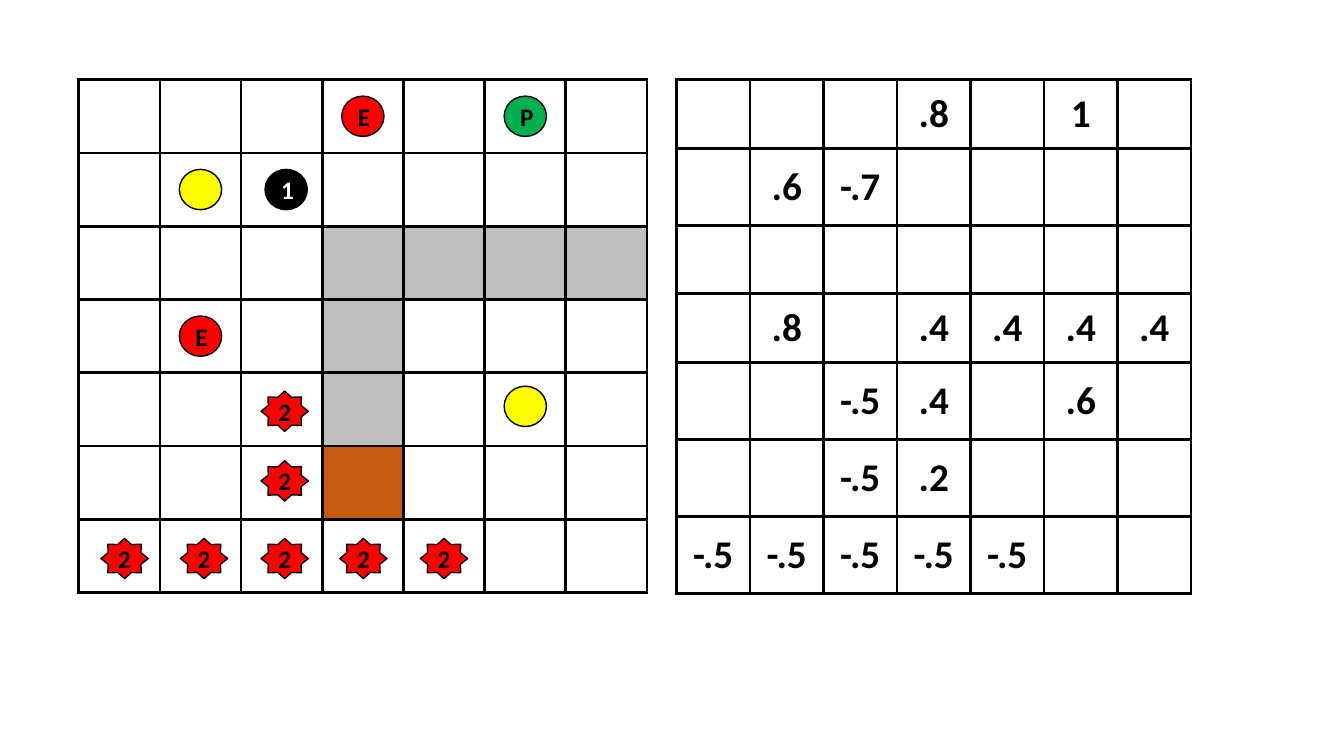
from dataclasses import dataclass

from lxml import etree
from pptx import Presentation
from pptx.dml import color
from pptx.enum import shapes, text
from pptx.oxml import ns
from pptx.util import Pt

COLORS = {
    "white": "FFFFFF",
    "black": "000000",
    "wall": "BFBFBF",
    "door": "C55A11",
    "yellow": "FFFF00",
    "green": "00B050",
    "red": "FF0000",
}
FONT = "Calibri"
CIRCLE = shapes.MSO_SHAPE.OVAL
STAR = shapes.MSO_SHAPE.STAR_8_POINT
MARKER_WIDTHS = {CIRCLE: 30.2, STAR: 33.8}
MARKER_HEIGHT = 28.8


@dataclass(frozen=True)
class Grid:
    left: float
    top: float
    columns: list[float]
    rows: list[float]


@dataclass(frozen=True)
class Marker:
    kind: shapes.MSO_SHAPE
    column: int
    row: int
    fill: str
    label: str = ""
    ink: str = "black"
    dx: float = 0  # nudge from the cell centre
    dy: float = 0


BOARD = Grid(56.2, 56.9, [58] * 7, [52.35] * 7)
SCORES = Grid(483.2, 56.9, [52.5] * 7, [49, 55, 49, 49, 55, 55, 55])

# Coloured board cells, by (row, column)
BOARD_FILLS = {
    **{(2, column): "wall" for column in range(3, 7)},
    (3, 3): "wall",
    (4, 3): "wall",
    (5, 3): "door",
}

MARKERS = [
    Marker(CIRCLE, 5, 4, "yellow", dy=-2.2),
    Marker(CIRCLE, 1, 1, "yellow"),
    Marker(CIRCLE, 5, 0, "green", "P"),
    Marker(CIRCLE, 1, 3, "red", "E"),
    Marker(CIRCLE, 3, 0, "red", "E"),
    *(Marker(STAR, column, 6, "red", "2", dx=dx, dy=1.8)
      for column, dx in enumerate([3.8, 2.6, 2.2, 0.4, 0])),
    Marker(STAR, 2, 5, "red", "2", dx=2.2, dy=-1.3),
    Marker(STAR, 2, 4, "red", "2", dx=2.2, dy=1.3),
    Marker(CIRCLE, 2, 1, "black", "1", "white", dx=3.2),
]

SCORE_ROWS = [
    ["", "", "", ".8", "", "1", ""],
    ["", ".6", "-.7", "", "", "", ""],
    ["", "", "", "", "", "", ""],
    ["", ".8", "", ".4", ".4", ".4", ".4"],
    ["", "", "-.5", ".4", "", ".6", ""],
    ["", "", "-.5", ".2", "", "", ""],
    ["-.5", "-.5", "-.5", "-.5", "-.5", "", ""],
]


def rgb(name: str) -> color.RGBColor:
    return color.RGBColor.from_string(COLORS[name])


def write_label(frame, label: str, size: float, ink: str) -> None:
    frame.vertical_anchor = text.MSO_ANCHOR.MIDDLE
    paragraph = frame.paragraphs[0]
    paragraph.text = label
    paragraph.alignment = text.PP_ALIGN.CENTER
    font = paragraph.font
    font.name, font.size, font.bold = FONT, Pt(size), True
    font.color.rgb = rgb(ink)


def add_borders(cell, width: float = 2.25) -> None:
    properties = cell._tc.get_or_add_tcPr()
    for side in ("lnL", "lnR", "lnT", "lnB"):
        line = etree.SubElement(properties, ns.qn(f"a:{side}"), w=str(Pt(width)))
        fill = etree.SubElement(line, ns.qn("a:solidFill"))
        etree.SubElement(fill, ns.qn("a:srgbClr"), val=COLORS["black"])


def add_grid(slide, grid: Grid):
    table = slide.shapes.add_table(
        len(grid.rows), len(grid.columns), Pt(grid.left), Pt(grid.top),
        Pt(sum(grid.columns)), Pt(sum(grid.rows))).table
    table.first_row = table.horz_banding = False
    for column, width in zip(table.columns, grid.columns):
        column.width = Pt(width)
    for row, height in zip(table.rows, grid.rows):
        row.height = Pt(height)
    for cell in table.iter_cells():
        add_borders(cell)
    return table


def add_marker(slide, marker: Marker, grid: Grid) -> None:
    width = MARKER_WIDTHS[marker.kind]
    center_x = grid.left + sum(grid.columns[:marker.column]) + grid.columns[marker.column] / 2
    center_y = grid.top + sum(grid.rows[:marker.row]) + grid.rows[marker.row] / 2
    token = slide.shapes.add_shape(
        marker.kind,
        Pt(center_x + marker.dx - width / 2),
        Pt(center_y + marker.dy - MARKER_HEIGHT / 2),
        Pt(width), Pt(MARKER_HEIGHT))
    token.shadow.inherit = False
    token.fill.solid()
    token.fill.fore_color.rgb = rgb(marker.fill)
    token.line.color.rgb = rgb("black")
    token.line.width = Pt(1)
    if marker.label:
        write_label(token.text_frame, marker.label, 18, marker.ink)


def main() -> None:
    deck = Presentation()
    deck.slide_width, deck.slide_height = Pt(960), Pt(540)
    slide = deck.slides.add_slide(deck.slide_layouts[6])

    # Game board with its walls and door
    board = add_grid(slide, BOARD)
    for row in range(len(BOARD.rows)):
        for column in range(len(BOARD.columns)):
            fill = board.cell(row, column).fill
            fill.solid()
            fill.fore_color.rgb = rgb(BOARD_FILLS.get((row, column), "white"))

    # Tokens on the board
    for marker in MARKERS:
        add_marker(slide, marker, BOARD)

    # Score of each cell
    scores = add_grid(slide, SCORES)
    for row, values in enumerate(SCORE_ROWS):
        for column, value in enumerate(values):
            cell = scores.cell(row, column)
            cell.fill.background()
            if value:
                write_label(cell.text_frame, value, 28, "black")
                cell.vertical_anchor = text.MSO_ANCHOR.MIDDLE

    deck.save("out.pptx")


if __name__ == "__main__":
    main()
